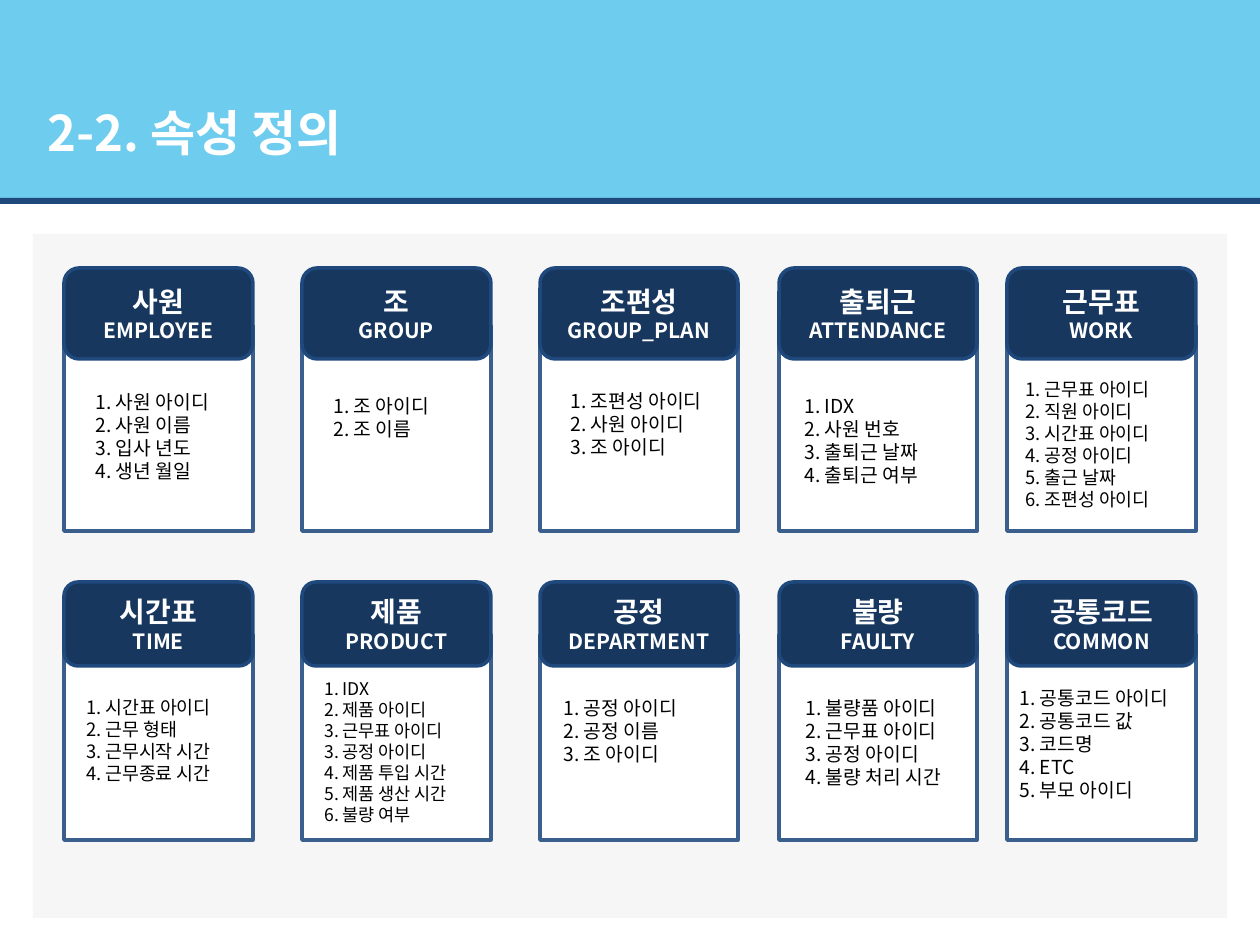
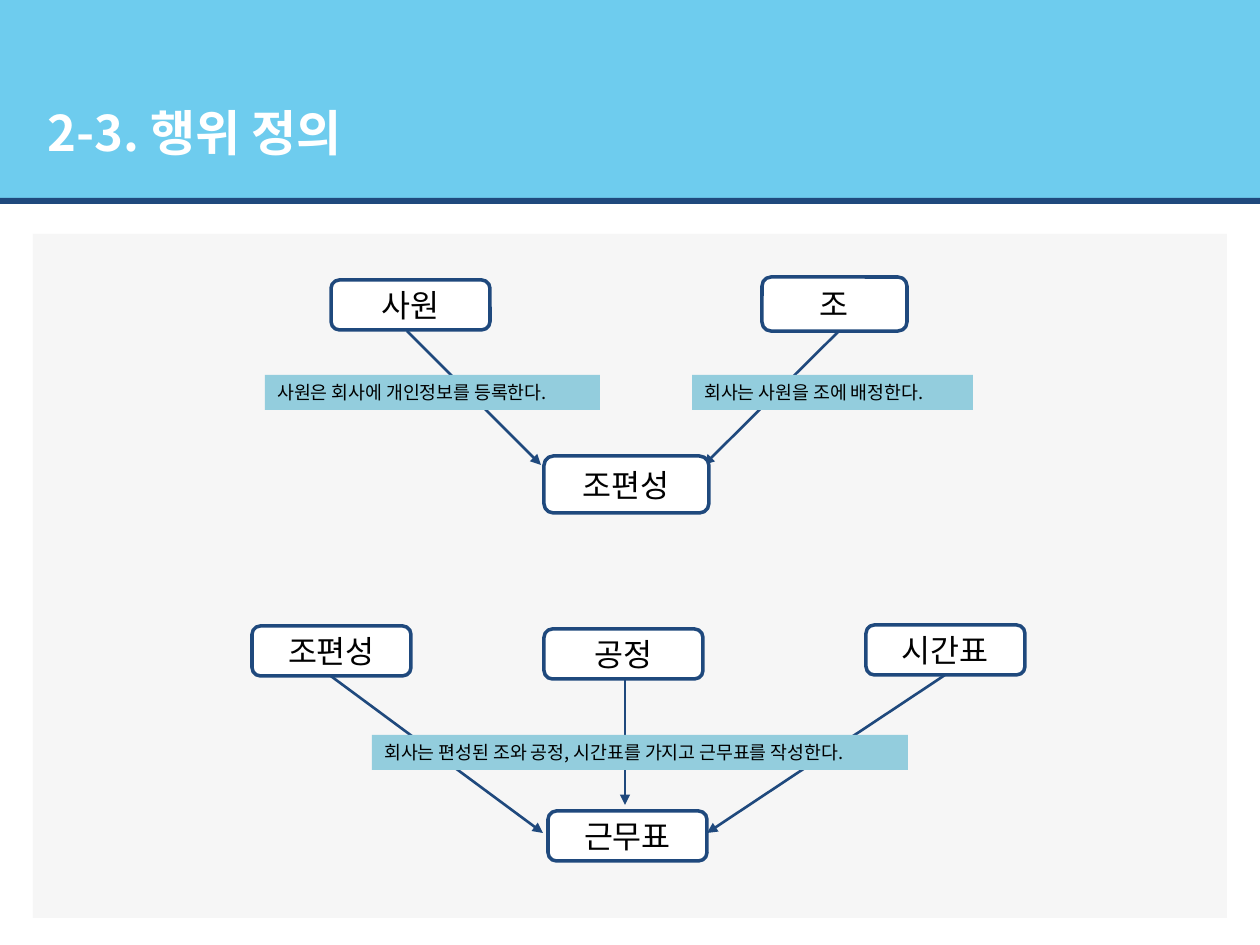
import collections

import lxml.etree
import pptx
import pptx.dml.color
import pptx.enum.shapes
import pptx.enum.text
import pptx.oxml.ns
import pptx.util

RGBColor = pptx.dml.color.RGBColor
SHAPE = pptx.enum.shapes.MSO_SHAPE
ANCHOR = pptx.enum.text.MSO_ANCHOR
ALIGN = pptx.enum.text.PP_ALIGN

WHITE = RGBColor(0xFF, 0xFF, 0xFF)
BLACK = RGBColor(0x00, 0x00, 0x00)
SKY = RGBColor(0x6E, 0xCC, 0xEE)
NAVY = RGBColor(0x1F, 0x49, 0x7D)
DARK_NAVY = RGBColor(0x17, 0x37, 0x5E)
CARD_EDGE = RGBColor(0x3A, 0x5F, 0x8C)
PANEL_GRAY = RGBColor(0xF6, 0xF6, 0xF6)
LABEL_BLUE = RGBColor(0x93, 0xCD, 0xDD)

FONT = "Noto Sans CJK KR"
LINE_HEIGHT = 1.2
PIXELS_PER_INCH = 126
SLIDE_WIDTH, SLIDE_HEIGHT = 1260, 945

Box = collections.namedtuple("Box", "left top width height")
Card = collections.namedtuple("Card", "name code list_offset size attributes")
Row = collections.namedtuple("Row", "top header_height body_offset cards")
Relation = collections.namedtuple("Relation", "origin arrows labels nodes")

CARD_COLUMNS = [(64, 189), (302, 189), (540, 198), (779, 198), (1007, 189)]
BODY_HEIGHT = 205
LIST_WIDTH = 200

ENTITY_ROWS = [
    Row(268, 91, 58, [
        Card("사원", "EMPLOYEE", (19, 116), 11,
             ["1. 사원 아이디", "2. 사원 이름", "3. 입사 년도", "4. 생년 월일"]),
        Card("조", "GROUP", (19, 120), 11, ["1. 조 아이디", "2. 조 이름"]),
        Card("조편성", "GROUP_PLAN", (18, 115), 11,
             ["1. 조편성 아이디", "2. 사원 아이디", "3. 조 아이디"]),
        Card("출퇴근", "ATTENDANCE", (13, 120), 11,
             ["1. IDX", "2. 사원 번호", "3. 출퇴근 날짜", "4. 출퇴근 여부"]),
        Card("근무표", "WORK", (6, 104), 10.5,
             ["1. 근무표 아이디", "2. 직원 아이디", "3. 시간표 아이디",
              "4. 공정 아이디", "5. 출근 날짜", "6. 조편성 아이디"]),
    ]),
    Row(582, 84, 53, [
        Card("시간표", "TIME", (10, 108), 10.5,
             ["1. 시간표 아이디", "2. 근무 형태", "3. 근무시작 시간", "4. 근무종료 시간"]),
        Card("제품", "PRODUCT", (10, 90), 10,
             ["1. IDX", "2. 제품 아이디", "3. 근무표 아이디", "3. 공정 아이디",
              "4. 제품 투입 시간", "5. 제품 생산 시간", "6. 불량 여부"]),
        Card("공정", "DEPARTMENT", (11, 108), 11,
             ["1. 공정 아이디", "2. 공정 이름", "3. 조 아이디"]),
        Card("불량", "FAULTY", (14, 108), 11,
             ["1. 불량품 아이디", "2. 근무표 아이디", "3. 공정 아이디", "4. 불량 처리 시간"]),
        Card("공통코드", "COMMON", (0, 98), 11,
             ["1. 공통코드 아이디", "2. 공통코드 값", "3. 코드명", "4. ETC", "5. 부모 아이디"]),
    ]),
]

LABEL_HEIGHT = 35
NODE_SIZE = (159, 50)
RELATIONS = [
    Relation(
        origin=(252, 277),
        arrows=[(155, 54, 289, 188), (587, 54, 452, 188)],
        labels=[("회사는 사원을 조에 배정한다.", 440, 98, 281),
                ("사원은 회사에 개인정보를 등록한다.", 13, 98, 335)],
        nodes=[("조편성", 292, 179, 165, 57), ("사원", 79, 3, *NODE_SIZE),
               ("조", 510, 0, 145, 54)],
    ),
    Relation(
        origin=(252, 625),
        arrows=[(76, 49, 291, 208), (373, 50, 373, 180), (693, 50, 455, 208)],
        labels=[("회사는 편성된 조와 공정, 시간표를 가지고 근무표를 작성한다.", 120, 110, 536)],
        nodes=[("조편성", 0, 1, *NODE_SIZE), ("공정", 292, 4, *NODE_SIZE),
               ("시간표", 614, 0, *NODE_SIZE), ("근무표", 296, 186, *NODE_SIZE)],
    ),
]


def px(length):
    return pptx.util.Inches(length / PIXELS_PER_INCH)


def write_text(shape, lines, sizes, color=BLACK, bold=False,
               align=ALIGN.LEFT, anchor=ANCHOR.TOP):
    """Fill a shape with one paragraph per line; sizes holds a point size for each."""
    frame = shape.text_frame
    frame.word_wrap = True
    frame.vertical_anchor = anchor
    for index, (line, size) in enumerate(zip(lines, sizes)):
        paragraph = frame.add_paragraph() if index else frame.paragraphs[0]
        paragraph.alignment = align
        paragraph.line_spacing = pptx.util.Pt(round(size * LINE_HEIGHT, 1))
        run = paragraph.add_run()
        run.text = line
        run.font.size = pptx.util.Pt(size)
        run.font.bold = bold
        run.font.color.rgb = color
        run.font.name = FONT
        east_asian = lxml.etree.SubElement(
            run.font._element, pptx.oxml.ns.qn("a:ea"))
        east_asian.set("typeface", FONT)


def add_text(slide, box, lines, size, **text_format):
    shape = slide.shapes.add_textbox(*map(px, box))
    write_text(shape, lines, [size] * len(lines), **text_format)


def add_block(slide, box, fill, edge=None, kind=SHAPE.RECTANGLE):
    shape = slide.shapes.add_shape(kind, *map(px, box))
    shape.shadow.inherit = False
    shape.fill.solid()
    shape.fill.fore_color.rgb = fill
    if edge is None:
        shape.line.fill.background()
    else:
        shape.line.color.rgb = edge
        shape.line.width = pptx.util.Pt(2)
    return shape


def add_arrow(slide, start_x, start_y, end_x, end_y):
    connector = slide.shapes.add_connector(
        pptx.enum.shapes.MSO_CONNECTOR.STRAIGHT,
        px(start_x), px(start_y), px(end_x), px(end_y))
    connector.line.color.rgb = NAVY
    connector.line.width = pptx.util.Pt(1.5)
    line = connector.line._get_or_add_ln()
    lxml.etree.SubElement(line, pptx.oxml.ns.qn("a:tailEnd")).set("type", "triangle")
    lxml.etree.SubElement(connector._element.spPr, pptx.oxml.ns.qn("a:effectLst"))


def add_titled_slide(presentation, title):
    """Add a blank slide with the shared panel, title band and rule."""
    slide = presentation.slides.add_slide(presentation.slide_layouts[6])
    add_block(slide, Box(33, 234, 1194, 684), PANEL_GRAY)
    add_block(slide, Box(0, 0, SLIDE_WIDTH, 198), SKY)
    add_block(slide, Box(0, 198, SLIDE_WIDTH, 6), NAVY)
    add_text(slide, Box(35, 96, 486, 72), [title], 28, color=WHITE, bold=True)
    return slide


def add_card(slide, box, body_offset, card):
    """Draw an entity card; box is its header, the body hangs from behind it."""
    add_block(slide, Box(box.left, box.top + body_offset, box.width, BODY_HEIGHT),
              WHITE, CARD_EDGE)
    header = add_block(slide, box, DARK_NAVY, NAVY, SHAPE.ROUNDED_RECTANGLE)
    write_text(header, [card.name, card.code], [16, 12], color=WHITE, bold=True,
               align=ALIGN.CENTER, anchor=ANCHOR.MIDDLE)
    list_x, list_y = card.list_offset
    list_box = Box(box.left + list_x, box.top + list_y, LIST_WIDTH, BODY_HEIGHT // 2)
    add_text(slide, list_box, card.attributes, card.size)


def add_relation(slide, relation):
    left, top = relation.origin
    for start_x, start_y, end_x, end_y in relation.arrows:
        add_arrow(slide, left + start_x, top + start_y, left + end_x, top + end_y)
    for text, x, y, width in relation.labels:
        label = add_block(slide, Box(left + x, top + y, width, LABEL_HEIGHT), LABEL_BLUE)
        write_text(label, [text], [10.5])
    for text, x, y, width, height in relation.nodes:
        node = add_block(slide, Box(left + x, top + y, width, height),
                         WHITE, NAVY, SHAPE.ROUNDED_RECTANGLE)
        write_text(node, [text], [18], align=ALIGN.CENTER, anchor=ANCHOR.MIDDLE)


def add_attribute_slide(presentation):
    slide = add_titled_slide(presentation, "2-2. 속성 정의")
    for row in ENTITY_ROWS:
        for (left, width), card in zip(CARD_COLUMNS, row.cards):
            box = Box(left, row.top, width, row.header_height)
            add_card(slide, box, row.body_offset, card)


def add_behavior_slide(presentation):
    slide = add_titled_slide(presentation, "2-3. 행위 정의")
    for relation in RELATIONS:
        add_relation(slide, relation)


def main():
    presentation = pptx.Presentation()
    presentation.slide_width = px(SLIDE_WIDTH)
    presentation.slide_height = px(SLIDE_HEIGHT)
    add_attribute_slide(presentation)
    add_behavior_slide(presentation)
    presentation.save("out.pptx")


if __name__ == "__main__":
    main()
